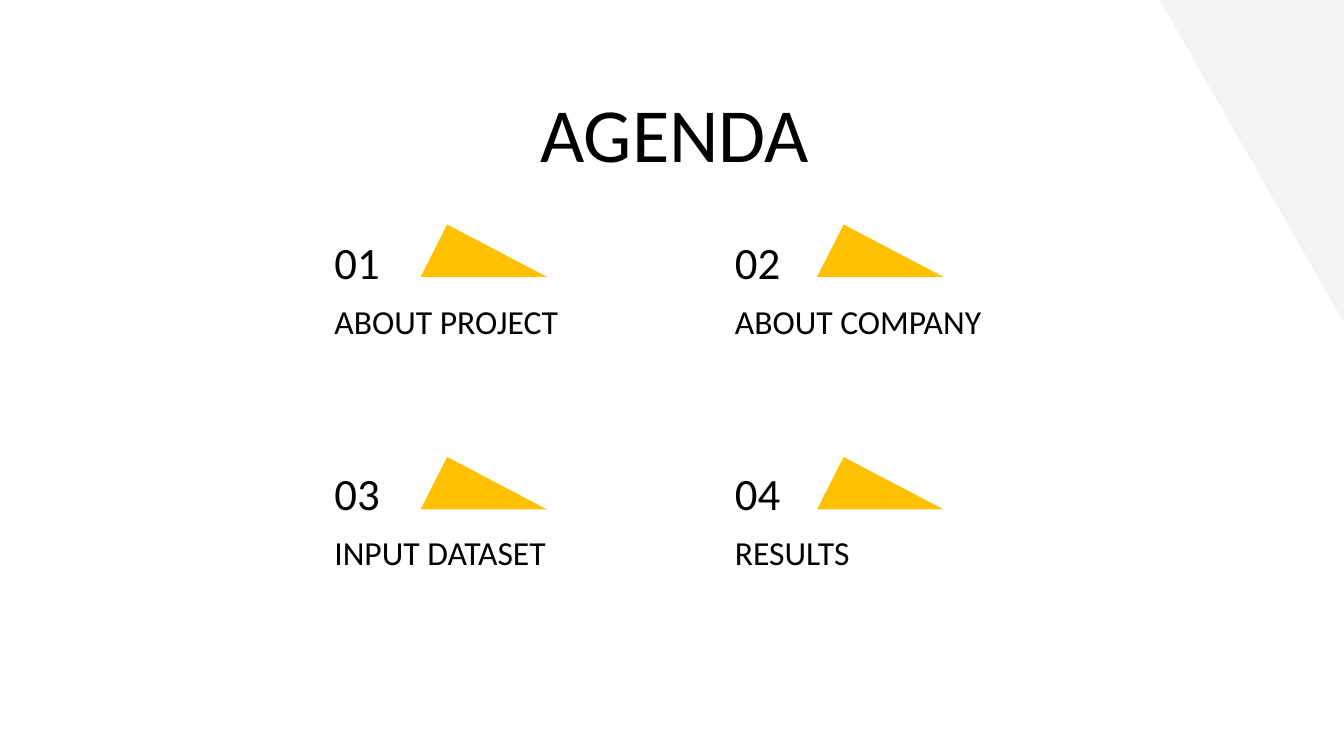
from dataclasses import dataclass

import pptx
import pptx.dml.color
import pptx.enum.shapes
import pptx.enum.text
import pptx.util

Inches = pptx.util.Inches
SHAPE = pptx.enum.shapes.MSO_SHAPE
ALIGN = pptx.enum.text.PP_ALIGN
ANCHOR = pptx.enum.text.MSO_ANCHOR

COLORS = {"background": "FFFFFF", "text": "000000", "accent": "FFC100", "corner": "F3F3F3"}
FONT = "Calibri"
TEXT_LEFTS = (2.39, 5.37)
TEXT_TOPS = (1.75, 3.47)
TRIANGLE_LEFTS = (3.13, 6.08)
TRIANGLE_TOPS = (1.67, 3.4)
LINE_HEIGHT = 0.39


@dataclass(frozen=True)
class Box:
    left: float
    top: float
    width: float
    height: float


@dataclass(frozen=True)
class AgendaItem:
    number: str
    label: str


ITEMS = (
    AgendaItem("01", "ABOUT PROJECT"),
    AgendaItem("02", "ABOUT COMPANY"),
    AgendaItem("03", "INPUT DATASET"),
    AgendaItem("04", "RESULTS"),
)


def rgb(name: str) -> pptx.dml.color.RGBColor:
    return pptx.dml.color.RGBColor.from_string(COLORS[name])


def lengths(box: Box) -> tuple:
    return tuple(Inches(v) for v in (box.left, box.top, box.width, box.height))


def add_filled(s, kind: SHAPE, box: Box, color: str):
    sp = s.shapes.add_shape(kind, *lengths(box))
    sp.shadow.inherit = False
    sp.fill.solid()
    sp.fill.fore_color.rgb = rgb(color)
    sp.line.fill.background()
    return sp


def add_text(s, text: str, box: Box, size: int,
             align: ALIGN = ALIGN.LEFT, anchor: ANCHOR = ANCHOR.TOP) -> None:
    tf = s.shapes.add_textbox(*lengths(box)).text_frame
    tf.word_wrap = True
    tf.vertical_anchor = anchor
    tf.margin_left = tf.margin_right = tf.margin_top = tf.margin_bottom = Inches(0.1)
    p = tf.paragraphs[0]
    p.alignment = align
    r = p.add_run()
    r.text = text
    r.font.name = FONT
    r.font.size = pptx.util.Pt(size)
    r.font.color.rgb = rgb("text")


def add_item(s, item: AgendaItem, row: int, col: int) -> None:
    triangle = add_filled(s, SHAPE.ISOSCELES_TRIANGLE,
                          Box(TRIANGLE_LEFTS[col], TRIANGLE_TOPS[row], 0.94, LINE_HEIGHT),
                          "accent")
    triangle.adjustments[0] = 0.21
    left, top = TEXT_LEFTS[col], TEXT_TOPS[row]
    add_text(s, item.number, Box(left, top, 1.18, LINE_HEIGHT), 24, anchor=ANCHOR.MIDDLE)
    add_text(s, item.label, Box(left, top + LINE_HEIGHT, 2.36, LINE_HEIGHT), 18)


def main() -> None:
    prs = pptx.Presentation()
    prs.slide_width = Inches(10)
    prs.slide_height = prs.slide_width * 9 // 16
    s = prs.slides.add_slide(prs.slide_layouts[6])
    s.background.fill.solid()
    s.background.fill.fore_color.rgb = rgb("background")

    corner = add_filled(s, SHAPE.RIGHT_TRIANGLE, Box(8.63, 0, 1.37, 2.4), "corner")
    corner.rotation = 180
    add_text(s, "AGENDA", Box(0.59, 0.54, 8.86, 0.63), 41, align=ALIGN.CENTER)
    for i, item in enumerate(ITEMS):
        add_item(s, item, *divmod(i, len(TEXT_LEFTS)))

    prs.save("out.pptx")


if __name__ == "__main__":
    main()
